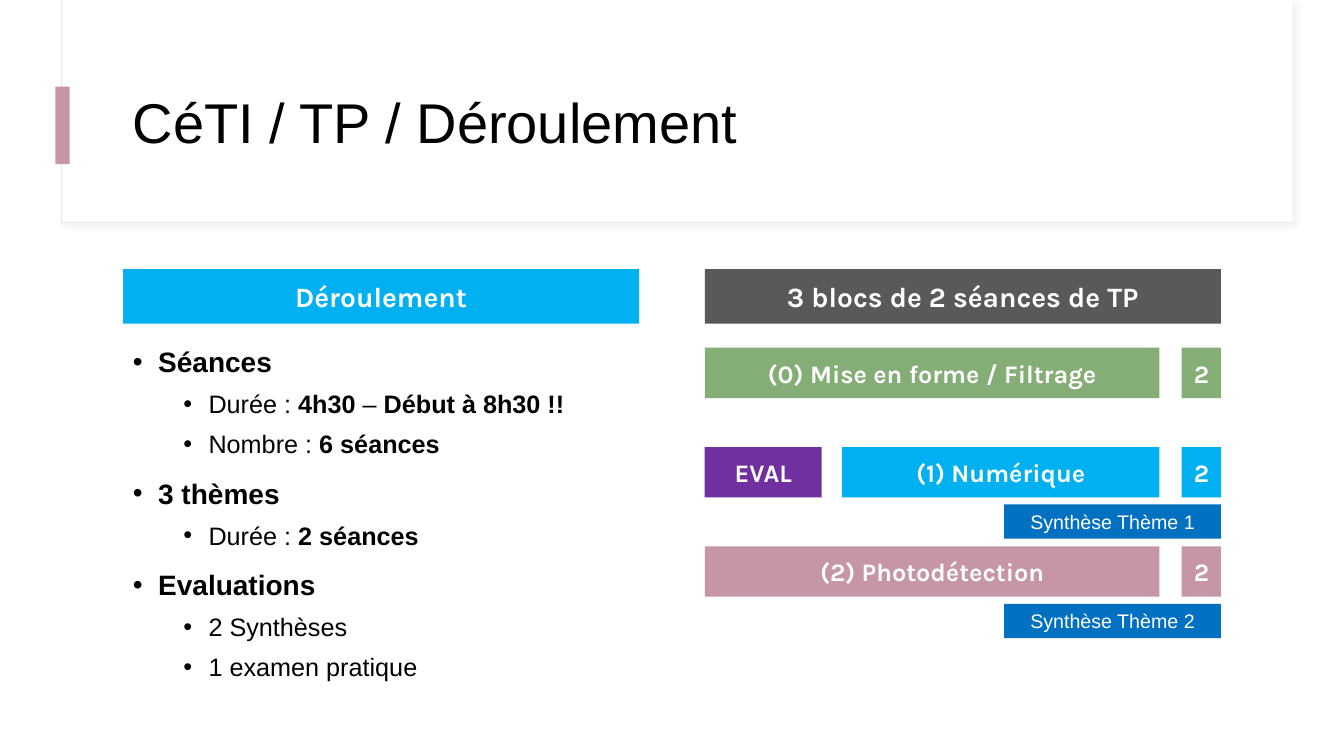
from lxml import etree
from pptx import Presentation
from pptx import util as u
from pptx.dml.color import RGBColor
from pptx.enum import shapes, text
from pptx.oxml.ns import qn

TITLE = "CéTI / TP / Déroulement"
HEADS = [("Déroulement", "sky"), ("3 blocs de 2 séances de TP", "gray")]
# (level, runs); a run is (text, bold)
POINTS = [
    (0, [("Séances", True)]),
    (1, [("Durée : ", False), ("4h30", True), (" – ", False),
         ("Début à 8h30 !!", True)]),
    (1, [("Nombre : ", False), ("6 séances", True)]),
    (0, [("3 thèmes", True)]),
    (1, [("Durée : ", False), ("2 séances", True)]),
    (0, [("Evaluations", True)]),
    (1, [("2 Synthèses", False)]),
    (1, [("1 examen pratique", False)]),
]
# (name, sessions, colour, exam, summary)
BLOCKS = [
    ("(0) Mise en forme / Filtrage", "2", "green", None, None),
    ("(1) Numérique", "2", "sky", "EVAL", "Synthèse Thème 1"),
    ("(2) Photodétection", "2", "rose", None, "Synthèse Thème 2"),
]

THEME = {
    "white": "FFFFFF", "black": "000000", "edge": "F0E5E5", "shade": "D9D9D9",
    "rose": "C696A7", "sky": "00B0F0", "gray": "595959", "green": "85AD76",
    "plum": "7030A0", "blue": "0070C0",
    "body": "Arial", "label": "Karla",
    "title": 40, "head": 20, "sub": 18, "small": 14,
}
WIDE, HIGH = 13.33, 7.5
LEFT, RIGHT, COL = 1.22, 6.99, 5.12
END = RIGHT + COL
ROW, STEP, BAR = 3.45, 0.985, 0.5
MAIN, EXAM, COUNT, NOTE = 4.51, 1.16, 0.39, 2.15
GAP = 0.2

deck = Presentation()
deck.slide_width, deck.slide_height = u.Inches(WIDE), u.Inches(HIGH)
slide = deck.slides.add_slide(deck.slide_layouts[6])


def tint(name):
    return RGBColor.from_string(THEME[name])


def place(*box):
    return [u.Inches(n) for n in box]


def style(font, size, face="body", color="black", bold=False):
    looks = {"size": u.Pt(THEME[size]), "name": THEME[face], "bold": bold}
    for key, val in looks.items():
        setattr(font, key, val)
    font.color.rgb = tint(color)


def rect(box, fill):
    shape = slide.shapes.add_shape(shapes.MSO_SHAPE.RECTANGLE, *place(*box))
    shape.shadow.inherit = False
    shape.fill.solid()
    shape.fill.fore_color.rgb = tint(fill)
    shape.line.fill.background()
    return shape


def label(box, words, fill, size, face="label", bold=True):
    """Draw a filled bar with centred white text."""
    frame = rect(box, fill).text_frame
    frame.word_wrap = True
    frame.vertical_anchor = text.MSO_ANCHOR.MIDDLE
    if face == "label":
        for side in ("left", "right", "top", "bottom"):
            setattr(frame, "margin_" + side, u.Inches(0.1))
    para = frame.paragraphs[0]
    para.alignment = text.PP_ALIGN.CENTER
    run = para.add_run()
    run.text = words
    style(run.font, size, face, "white", bold)


def write(box, anchor):
    frame = slide.shapes.add_textbox(*place(*box)).text_frame
    frame.word_wrap = True
    frame.vertical_anchor = anchor
    return frame


def cast(shape):
    """Give a shape a soft shadow."""
    list_ = shape._element.spPr.find(qn("a:effectLst"))
    shadow = etree.SubElement(list_, qn("a:outerShdw"), blurRad=str(u.Pt(4)),
                              dist=str(u.Pt(3)), dir="2700000", rotWithShape="0")
    color = etree.SubElement(shadow, qn("a:srgbClr"), val=THEME["shade"])
    etree.SubElement(color, qn("a:alpha"), val="30000")


def header():
    frame = rect((0.61, 0, 12.21, 2.21), "white")
    frame.line.color.rgb = tint("edge")
    frame.line.width = u.Pt(0.75)
    cast(frame)
    rect((0.62, 0, 12.2, 2.2), "white")
    rect((0.55, 0.86, 0.14, 0.77), "rose")
    para = write((LEFT, 0.6, 11.12, 1.29), text.MSO_ANCHOR.MIDDLE).paragraphs[0]
    para.line_spacing = 0.9
    run = para.add_run()
    run.text = TITLE
    style(run.font, "title")


def outline():
    frame = write((LEFT, 3.34, COL, 4.04), text.MSO_ANCHOR.TOP)
    for i, (level, runs) in enumerate(POINTS):
        para = frame.add_paragraph() if i else frame.paragraphs[0]
        props = para._p.get_or_add_pPr()
        props.set("marL", str(u.Inches(0.25 + level * 0.5)))
        props.set("indent", str(u.Inches(-0.25)))
        etree.SubElement(props, qn("a:buFont"), typeface=THEME["body"])
        etree.SubElement(props, qn("a:buChar"), char="•")
        para.level = level
        para.line_spacing = 1.1
        if i:
            para.space_before = u.Pt(5 if level else 10)
        for words, bold in runs:
            run = para.add_run()
            run.text = words
            style(run.font, "sub" if level else "head", bold=bold)


def blocks():
    for i, (name, count, fill, exam, note) in enumerate(BLOCKS):
        top, left, wide = ROW + i * STEP, RIGHT, MAIN
        if exam:
            label((left, top, EXAM, BAR), exam, "plum", "sub")
            left, wide = left + EXAM + GAP, wide - EXAM - GAP
        label((left, top, wide, BAR), name, fill, "sub")
        label((END - COUNT, top, COUNT, BAR), count, fill, "sub")
        if note:
            label((END - NOTE, top + 0.57, NOTE, 0.34), note, "blue", "small",
                  "body", False)


header()
for left, (words, fill) in zip((LEFT, RIGHT), HEADS):
    label((left, 2.67, COL, 0.54), words, fill, "head")
outline()
blocks()
deck.save("out.pptx")
